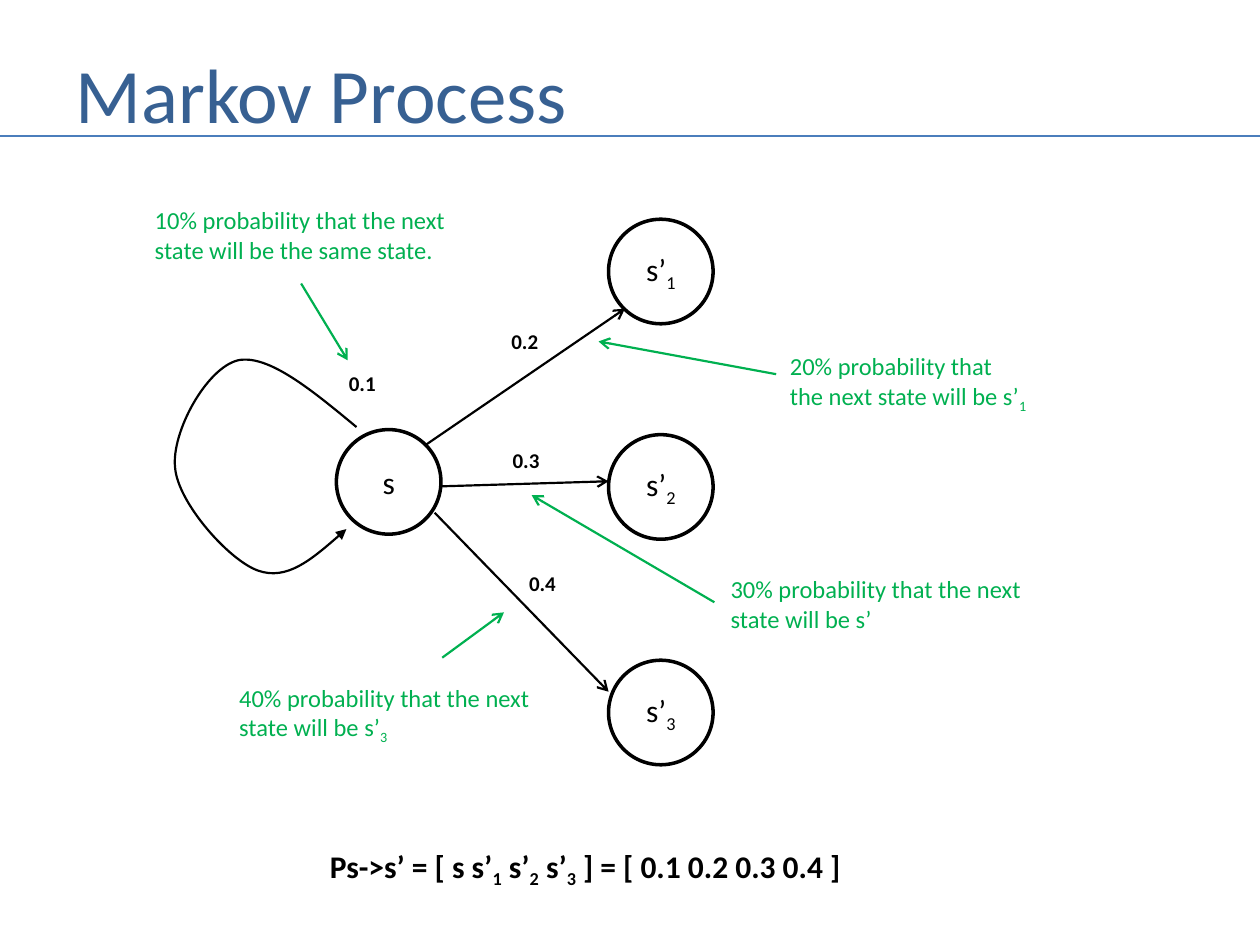
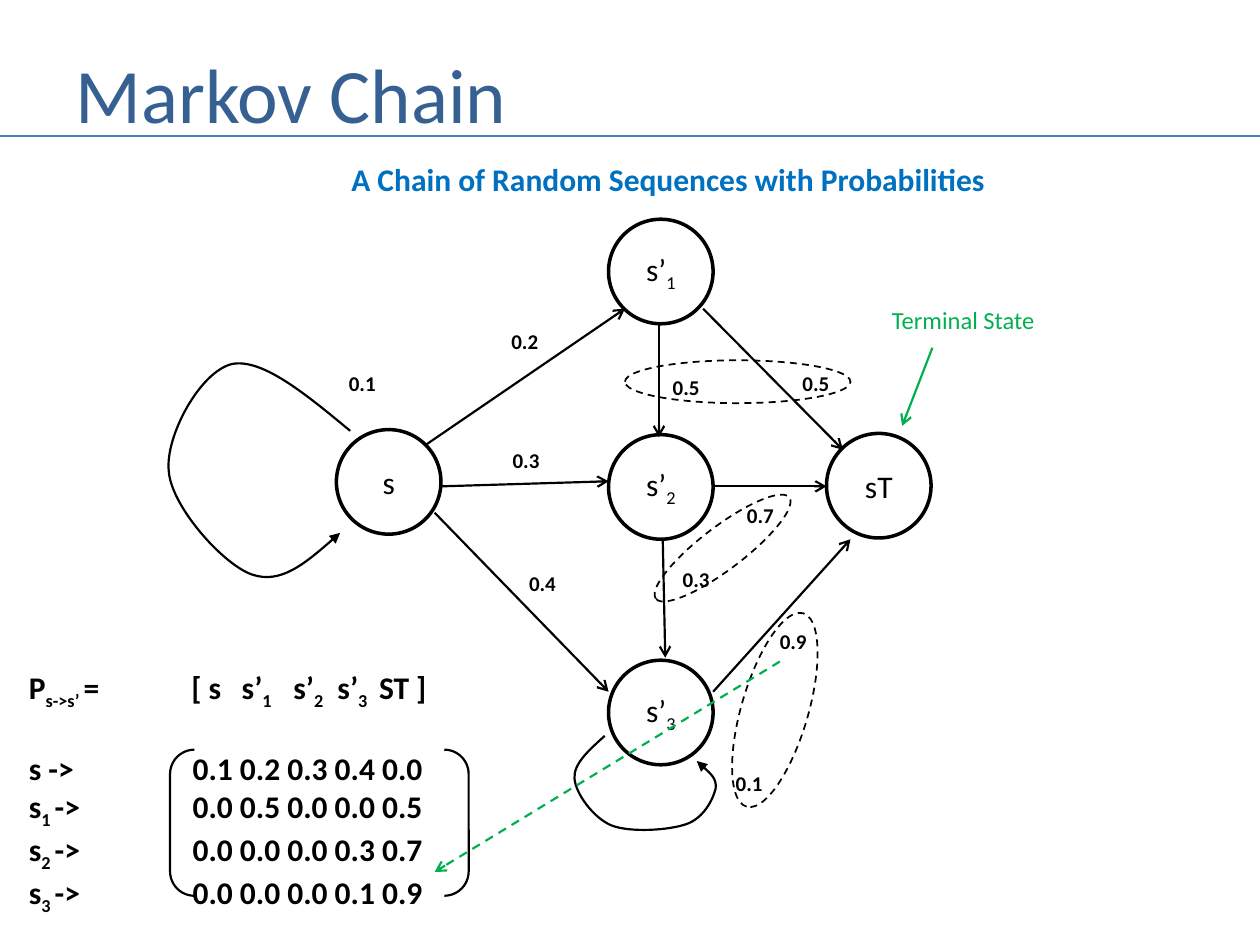
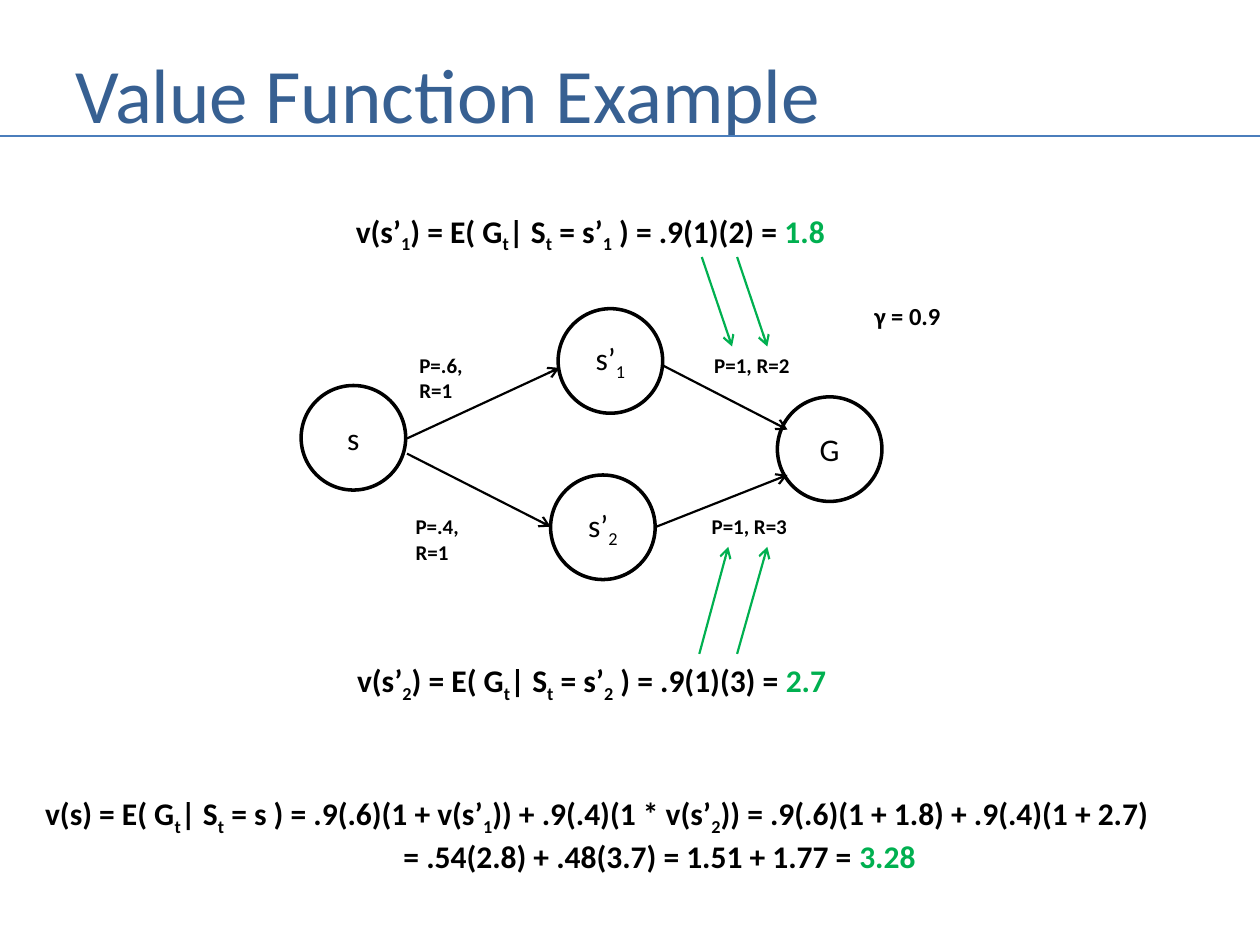
from lxml.etree import SubElement
from pptx import Presentation
from pptx.dml.color import RGBColor
from pptx.enum.dml import MSO_LINE
from pptx.enum.shapes import MSO_CONNECTOR, MSO_SHAPE
from pptx.enum.text import MSO_ANCHOR as ANCHOR, MSO_AUTO_SIZE as AUTO, PP_ALIGN as ALIGN
from pptx.oxml.ns import qn
from pptx.util import Inches, Pt

COLORS = {"title": "376092", "rule": "4B7EBC", "ink": "000000",
          "note": "00B050", "heading": "0070C0"}
STYLES = {
    "title": {"size": Pt(44), "bold": False},
    "state": {"size": Pt(18), "bold": False},
    "formula": {"size": Pt(18), "bold": True},
    "odds": {"size": Pt(12), "bold": True},
    "note": {"size": Pt(14), "bold": False},
    "factor": {"size": Pt(14), "bold": True},
}
STATE_SIZE = 0.83


def write(frame, lines, style, color="ink", align=ALIGN.LEFT):
    """Fill a frame; _x_ is a subscript, and what follows ^ is a result in green."""
    for number, line in enumerate(lines):
        paragraph = frame.paragraphs[0] if number == 0 else frame.add_paragraph()
        paragraph.alignment = align
        body, _, result = line.partition("^")
        pieces = [(piece, index % 2, color) for index, piece in enumerate(body.split("_"))]
        for piece, is_subscript, piece_color in pieces + [(result, 0, "note")]:
            if not piece:
                continue
            run = paragraph.add_run()
            run.text = piece
            for name, value in {"name": "Calibri", **STYLES[style]}.items():
                setattr(run.font, name, value)
            run.font.color.rgb = RGBColor.from_string(COLORS[piece_color])
            if is_subscript:
                run._r.get_or_add_rPr().set("baseline", "-25000")


def draw_line(shape, color="ink", width=1.25, head=None, dashed=False):
    """Style an outline or connector, with an optional arrowhead and no shadow."""
    shape.line.color.rgb = RGBColor.from_string(COLORS[color])
    shape.line.width = Pt(width)
    if dashed:
        shape.line.dash_style = MSO_LINE.DASH
    if head:
        SubElement(shape.line._get_or_add_ln(), qn("a:tailEnd"), type=head)
    SubElement(shape._element.spPr, qn("a:effectLst"))


# The first state and its three successors appear on two slides
markov_states = [(2.67, 3.41, "s"), (4.83, 1.74, "s’_1_"),
                 (4.83, 3.45, "s’_2_"), (4.83, 5.24, "s’_3_")]
markov_transitions = [(3.38, 3.53, 4.96, 2.45), (3.45, 4.07, 4.83, 5.49),
                      (3.5, 3.86, 4.83, 3.82)]
markov_odds = [(2.67, 2.89, "0.1"), (3.96, 2.56, "0.2"),
               (3.97, 3.5, "0.3"), (4.1, 4.48, "0.4")]
# Loops are a start point followed by three points for each Bézier curve
stay_loop = [(2.83, 3.39), (2.48, 3.1), (2.13, 2.81), (1.89, 2.86),
             (1.64, 2.92), (1.36, 3.43), (1.39, 3.71), (1.41, 3.99),
             (1.82, 4.45), (2.05, 4.53), (2.28, 4.61), (2.51, 4.41), (2.75, 4.2)]
s3_loop = [(4.8, 5.84), (4.68, 5.95), (4.55, 6.06), (4.56, 6.18),
           (4.57, 6.3), (4.71, 6.49), (4.85, 6.55), (5, 6.61),
           (5.31, 6.59), (5.45, 6.54), (5.59, 6.49), (5.66, 6.34),
           (5.68, 6.26), (5.69, 6.18), (5.61, 6.11), (5.53, 6.04)]

# Texts: left, top, width, height, lines, style, colour, alignment
slides = [
    {
        "title": "Markov Process",
        "states": markov_states,
        "transitions": markov_transitions,
        "loops": [stay_loop],
        "odds": markov_odds,
        "odds_width": 0.42,
        "odds_groups": [],
        "pointers": [(2.39, 2.25, 2.76, 2.86), (6.16, 2.97, 4.75, 2.71),
                     (5.67, 4.78, 4.22, 3.93), (3.51, 5.22, 4, 4.86)],
        "texts": [
            (1.13, 1.58, 2.53, 0.57, ["10% probability that the next",
             "state will be the same state."], "note", "note", ALIGN.LEFT),
            (6.17, 2.74, 2.11, 0.57, ["20% probability that",
             "the next state will be s’_1_"], "note", "note", ALIGN.LEFT),
            (5.7, 4.51, 2.53, 0.57, ["30% probability that the next",
             "state will be s’"], "note", "note", ALIGN.LEFT),
            (1.8, 5.37, 2.53, 0.57, ["40% probability that the next",
             "state will be s’_3_"], "note", "note", ALIGN.LEFT),
            (2.52, 6.67, 4.46, 0.4,
             ["Ps->s’ = [ s s’_1_ s’_2_ s’_3_ ] = [ 0.1 0.2 0.3 0.4 ]"],
             "formula", "ink", ALIGN.LEFT),
        ],
    },
    {
        "title": "Markov Chain",
        "states": markov_states + [(6.56, 3.44, "sT")],
        "transitions": markov_transitions + [
            (5.23, 2.56, 5.23, 3.47), (5.58, 2.45, 6.69, 3.57), (5.67, 3.86, 6.56, 3.86),
            (5.26, 4.28, 5.28, 5.22), (5.66, 5.49, 6.75, 4.28)],
        "loops": [[(x - 0.05, y + 0.03) for x, y in stay_loop], s3_loop],
        "odds": markov_odds + [
            (5.24, 2.92, "0.5"), (6.27, 2.89, "0.5"), (5.83, 3.94, "0.7"),
            (5.32, 4.45, "0.3"), (6.09, 4.94, "0.9"), (5.74, 6.07, "0.1")],
        "odds_width": 0.42,
        "odds_groups": [(4.96, 2.86, 1.79, 0.34, 0), (5.07, 4.18, 1.33, 0.34, 322.8),
                        (5.35, 5.37, 1.6, 0.53, 286.3)],
        "pointers": [(7.4, 2.76, 7.16, 3.38)],
        "texts": [
            (6.98, 2.37, 1.35, 0.34, ["Terminal State"], "note", "note", ALIGN.LEFT),
            (2.69, 1.22, 5.23, 0.4, ["A Chain of Random Sequences with Probabilities"],
             "formula", "heading", ALIGN.LEFT),
        ],
    },
    {
        "title": "Value Function Example",
        "states": [(2.39, 3.06, "s"), (4.43, 2.45, "s’_1_"),
                   (4.37, 3.77, "s’_2_"), (6.17, 3.15, "G")],
        "transitions": [(3.23, 3.48, 4.44, 2.92), (3.23, 3.6, 4.37, 4.18),
                        (5.26, 2.9, 6.25, 3.41), (5.21, 4.18, 6.25, 3.77)],
        "loops": [],
        "odds": [(3.23, 2.75, "P=.6, R=1"), (3.2, 4.03, "P=.4, R=1"),
                 (5.57, 2.75, "P=1, R=2"), (5.55, 4.03, "P=1, R=3")],
        "odds_width": 0.83,
        "odds_groups": [],
        "pointers": [(5.57, 2.04, 5.81, 2.75), (5.85, 2.04, 6.09, 2.75),
                     (5.55, 5.19, 5.78, 4.34), (5.85, 5.19, 6.09, 4.34)],
        "texts": [
            (6.84, 2.34, 0.78, 0.34, ["γ = 0.9"], "factor", "ink", ALIGN.LEFT),
            (2.66, 1.63, 4.05, 0.4,
             ["v(s’_1_) = E( G_t_| S_t_ = s’_1_ ) = .9(1)(2) = ^1.8"],
             "formula", "ink", ALIGN.CENTER),
            (2.69, 5.2, 4.01, 0.4,
             ["v(s’_2_) = E( G_t_| S_t_ = s’_2_ ) = .9(1)(3) = ^2.7"],
             "formula", "ink", ALIGN.CENTER),
        ],
    },
]

prs = Presentation()
prs.slide_width, prs.slide_height = Inches(10), Inches(7.5)

for content in slides:
    slide = prs.slides.add_slide(prs.slide_layouts[5])
    shapes = slide.shapes

    title = shapes.title
    title.left, title.top, title.width, title.height = map(Inches, (0.5, 0.3, 9.08, 0.87))
    title.text_frame.auto_size = AUTO.NONE
    title.text_frame.vertical_anchor = ANCHOR.MIDDLE
    write(title.text_frame, [content["title"]], "title", "title")
    title_rule = shapes.add_connector(
        MSO_CONNECTOR.STRAIGHT, *map(Inches, (0, 1.08, 10, 1.08)))
    draw_line(title_rule, "rule", 1.5)

    for left, top, label in content["states"]:
        state = shapes.add_shape(
            MSO_SHAPE.OVAL, *map(Inches, (left, top, STATE_SIZE, STATE_SIZE)))
        state.fill.background()
        draw_line(state, width=2)
        state.text_frame.vertical_anchor = ANCHOR.MIDDLE
        write(state.text_frame, [label], "state", align=ALIGN.CENTER)

    for kind, color in (("transitions", "ink"), ("pointers", "note")):
        for ends in content[kind]:
            arrow = shapes.add_connector(MSO_CONNECTOR.STRAIGHT, *map(Inches, ends))
            draw_line(arrow, color, head="arrow")

    for points in content["loops"]:
        start, *rest = [(Inches(x), Inches(y)) for x, y in points]
        builder = shapes.build_freeform(*start)
        builder.add_line_segments(rest, close=False)
        loop = builder.convert_to_shape()
        loop.fill.background()
        draw_line(loop, head="triangle")
        # Each three straight segments become one Bézier curve
        segments = iter(list(loop._element.iter(qn("a:lnTo"))))
        for curve, control, end in zip(segments, segments, segments):
            curve.tag = qn("a:cubicBezTo")
            for segment in (control, end):
                curve.append(segment[0])
                segment.getparent().remove(segment)

    for left, top, width, height, angle in content["odds_groups"]:
        odds_group = shapes.add_shape(
            MSO_SHAPE.OVAL, *map(Inches, (left, top, width, height)))
        odds_group.rotation = angle
        odds_group.fill.background()
        draw_line(odds_group, width=1, dashed=True)

    odds_texts = [(left, top, content["odds_width"], 0.3, [odds], "odds", "ink", ALIGN.LEFT)
                  for left, top, odds in content["odds"]]
    for *box, lines, style, color, align in odds_texts + content["texts"]:
        frame = shapes.add_textbox(*map(Inches, box)).text_frame
        frame.word_wrap = False
        frame.auto_size = AUTO.SHAPE_TO_FIT_TEXT
        write(frame, lines, style, color, align)

# Transition matrix of the chain
chain = prs.slides[1].shapes
brackets = chain.add_shape(MSO_SHAPE.DOUBLE_BRACKET, *map(Inches, (1.35, 5.95, 2.37, 1.16)))
brackets.fill.background()
draw_line(brackets)
matrix = chain.add_textbox(*map(Inches, (0.13, 5.25, 3.51, 2.05))).text_frame
matrix.word_wrap = True
write(matrix, [
    "P_s->s’ _=\t[ s\ts’_1_\ts’_2_\ts’_3_\tST ]",
    "s ->\t0.1 0.2 0.3 0.4 0.0",
    "s_1 _->\t0.0 0.5 0.0 0.0 0.5",
    "s_2 _->\t0.0 0.0 0.0 0.3 0.7",
    "s_3 _->\t0.0 0.0 0.0 0.1 0.9",
], "formula")
for row, paragraph in enumerate(matrix.paragraphs):
    tab_list = SubElement(paragraph._p.get_or_add_pPr(), qn("a:tabLst"))
    for stop in (1.29, 1.69, 2.1, 2.45, 2.78) if row == 0 else (1.3,):
        SubElement(tab_list, qn("a:tab"), pos=str(Inches(stop)), algn="l")
matrix.paragraphs[1].space_before = Pt(22)
matrix_pointer = chain.add_connector(
    MSO_CONNECTOR.STRAIGHT, *map(Inches, (6.19, 5.25, 3.45, 6.92)))
draw_line(matrix_pointer, "note", head="arrow", dashed=True)

# Value of the first state, with the second line set in
value = prs.slides[2].shapes.add_textbox(*map(Inches, (0.26, 6.25, 9.23, 0.71))).text_frame
value.word_wrap = True
write(value, [
    "v(s) = E( G_t_| S_t_ = s ) = .9(.6)(1 + v(s’_1_)) + .9(.4)(1 * v(s’_2_))"
    " = .9(.6)(1 + 1.8) + .9(.4)(1 + 2.7)",
    "= .54(2.8) + .48(3.7) = 1.51 + 1.77 = ^3.28",
], "formula")
value.paragraphs[1].alignment = ALIGN.CENTER
value.paragraphs[1]._p.get_or_add_pPr().set("marL", str(Inches(0.72)))

prs.save("out.pptx")
